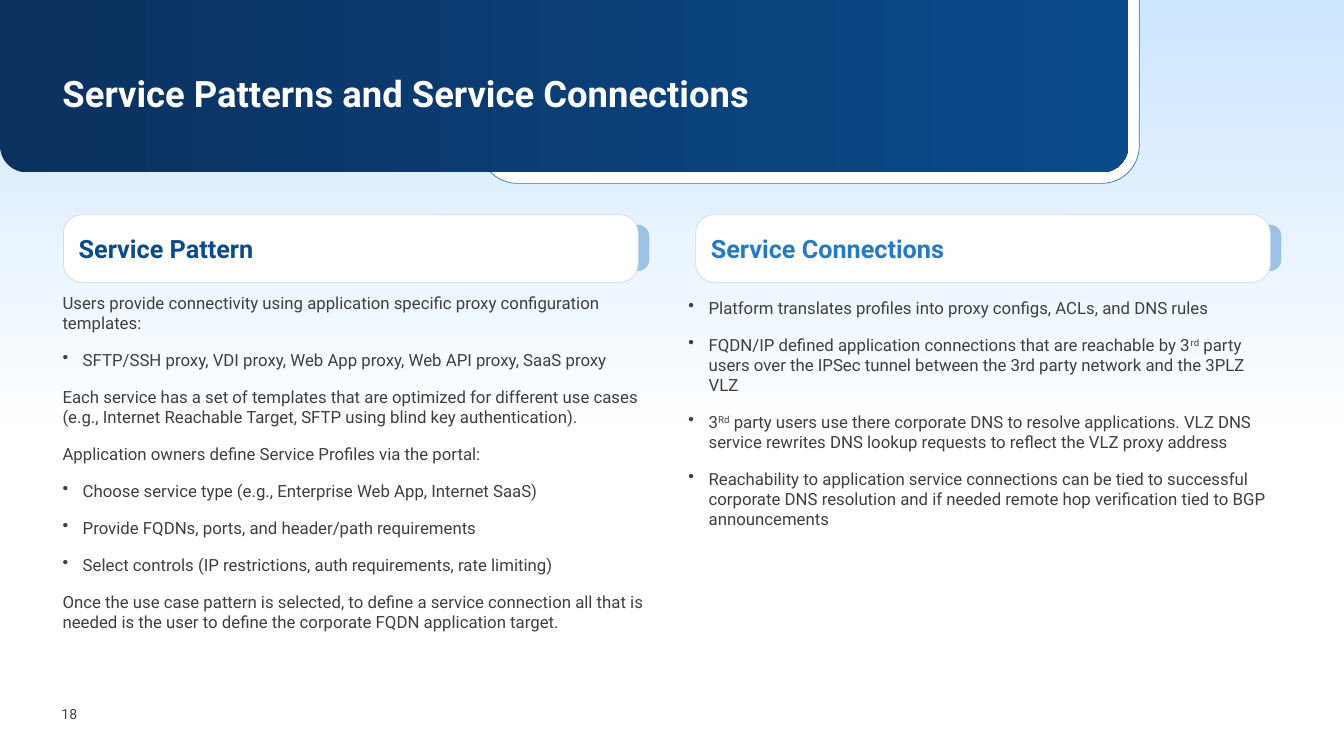
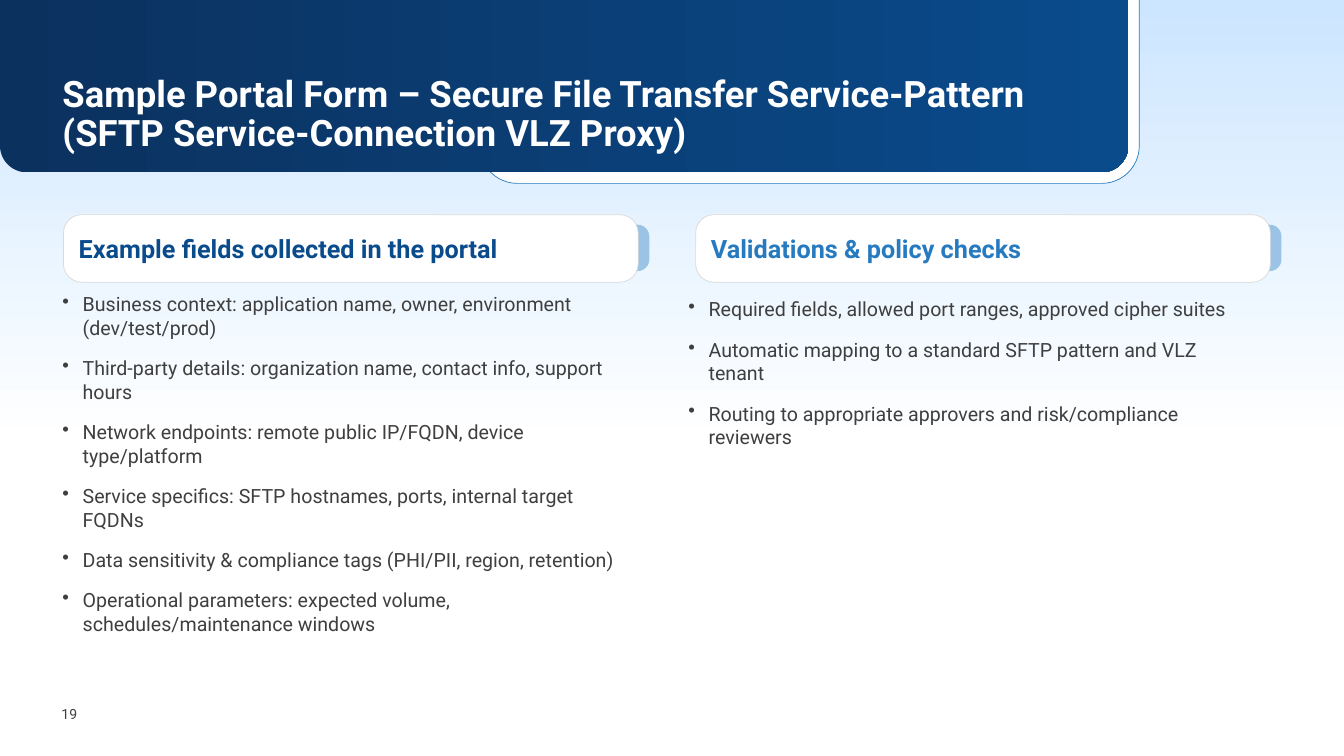
"""Builds two slides on service patterns, service connections and a sample portal form."""
from lxml import etree
from pptx import Presentation
from pptx.dml.color import RGBColor
from pptx.enum import shapes, text
from pptx.oxml.ns import qn
from pptx.util import Inches, Pt

FONT = "Roboto"
COLORS = {
    "sky": "CCE6FF",
    "white": "FFFFFF",
    "navy": "0B315E",
    "blue": "0A4B8C",
    "accent": "267AC0",
    "border": "D9D9D9",
    "text": "3F3F3F",
}
RECT = shapes.MSO_SHAPE.RECTANGLE
ROUND = shapes.MSO_SHAPE.ROUNDED_RECTANGLE
ROUND_BOTTOM = shapes.MSO_SHAPE.ROUND_2_SAME_RECTANGLE

SLIDES = [
    {
        "number": "18",
        "title": "Service Patterns and Service Connections",
        "size": 12,
        "width": 5.98,
        "columns": [
            ("Service Pattern", [
                "Users provide connectivity using application specific proxy configuration templates:",
                "• SFTP/SSH proxy, VDI proxy, Web App proxy, Web API proxy, SaaS proxy",
                "Each service has a set of templates that are optimized for different use cases "
                "(e.g., Internet Reachable Target, SFTP using blind key authentication).",
                "Application owners define Service Profiles via the portal:",
                "• Choose service type (e.g., Enterprise Web App, Internet SaaS)",
                "• Provide FQDNs, ports, and header/path requirements",
                "• Select controls (IP restrictions, auth requirements, rate limiting)",
                "Once the use case pattern is selected, to define a service connection all that is "
                "needed is the user to define the corporate FQDN application target.",
            ]),
            ("Service Connections", [
                "• Platform translates profiles into proxy configs, ACLs, and DNS rules",
                "• FQDN/IP defined application connections that are reachable by 3^rd^ party users "
                "over the IPSec tunnel between the 3rd party network and the 3PLZ VLZ",
                "• 3^Rd^ party users use there corporate DNS to resolve applications. VLZ DNS "
                "service rewrites DNS lookup requests to reflect the VLZ proxy address",
                "• Reachability to application service connections can be tied to successful "
                "corporate DNS resolution and if needed remote hop verification tied to BGP "
                "announcements",
            ]),
        ],
    },
    {
        "number": "19",
        "title": "Sample Portal Form – Secure File Transfer Service-Pattern "
                 "(SFTP Service-Connection VLZ Proxy)",
        "size": 14,
        "width": 5.7,
        "columns": [
            ("Example fields collected in the portal", [
                "• Business context: application name, owner, environment (dev/test/prod)",
                "• Third-party details: organization name, contact info, support hours",
                "• Network endpoints: remote public IP/FQDN, device type/platform",
                "• Service specifics: SFTP hostnames, ports, internal target FQDNs",
                "• Data sensitivity & compliance tags (PHI/PII, region, retention)",
                "• Operational parameters: expected volume, schedules/maintenance windows",
            ]),
            ("Validations & policy checks", [
                "• Required fields, allowed port ranges, approved cipher suites",
                "• Automatic mapping to a standard SFTP pattern and VLZ tenant",
                "• Routing to appropriate approvers and risk/compliance reviewers",
            ]),
        ],
    },
]


def add_panel(s, kind, box, fills, line=None, adj=(), angle=0):
    """Add a shape with a solid or two-colour gradient fill."""
    sp = s.shapes.add_shape(kind, *map(Inches, box))
    sp.shadow.inherit = False
    for i, value in enumerate(adj):
        sp.adjustments[i] = value
    if len(fills) == 1:
        sp.fill.solid()
        sp.fill.fore_color.rgb = RGBColor.from_string(COLORS[fills[0]])
    else:
        sp.fill.gradient()
        sp.fill.gradient_angle = angle
        for stop, name in zip(sp.fill.gradient_stops, fills):
            stop.color.rgb = RGBColor.from_string(COLORS[name])
    if line:
        sp.line.color.rgb = RGBColor.from_string(COLORS[line])
        sp.line.width = Pt(0.5)
    else:
        sp.line.fill.background()
    return sp


def write(sp, lines, size, color, bold=False, inset=(0, 0), anchor="TOP", gap=0, spacing=None):
    """Fill a shape with paragraphs; "• " starts a bullet and ^ encloses superscript."""
    tf = sp.text_frame
    tf.word_wrap = True
    tf.vertical_anchor = text.MSO_ANCHOR[anchor]
    tf.margin_left = tf.margin_right = Inches(inset[0])
    tf.margin_top = tf.margin_bottom = Inches(inset[1])
    for i, line in enumerate(lines):
        p = tf.add_paragraph() if i else tf.paragraphs[0]
        p.alignment = text.PP_ALIGN.LEFT
        p.space_before = Pt(gap if i else 0)
        p.space_after = Pt(gap)
        p.line_spacing = spacing
        if line.startswith("• "):
            pPr = p._p.get_or_add_pPr()
            pPr.set("marL", str(Inches(0.2)))
            pPr.set("indent", str(Inches(-0.2)))
            etree.SubElement(pPr, qn("a:buChar")).set("char", "•")
        for j, part in enumerate(line.removeprefix("• ").split("^")):
            r = p.add_run()
            r.text = part
            r.font.name = FONT
            r.font.size = Pt(size)
            r.font.bold = bold
            r.font.color.rgb = RGBColor.from_string(COLORS[color])
            if j % 2:
                r._r.get_or_add_rPr().set("baseline", "30000")


prs = Presentation()
prs.slide_width = Inches(13.33)
prs.slide_height = Inches(7.5)

for page in SLIDES:
    s = prs.slides.add_slide(prs.slide_layouts[6])
    number = s.shapes.add_textbox(*map(Inches, (0.61, 6.96, 0.39, 0.25)))
    write(number, [page["number"]], 10, "text", inset=(0, 0.05), anchor="MIDDLE")

    add_panel(s, RECT, (0, 0, 13.33, 4.4), ("sky", "white"), angle=270)
    add_panel(s, ROUND_BOTTOM, (4.76, -0.04, 6.54, 1.86), ("white",), "accent", (0, 0.2))
    add_panel(s, ROUND_BOTTOM, (0, 0, 11.19, 1.71), ("navy", "blue"), adj=(0, 0.155))

    title = s.shapes.add_textbox(*map(Inches, (0.62, 0.75, 10.6, 0.78)))
    write(title, [page["title"]], 26, "white", bold=True, spacing=0.9)

    for i, (heading, lines) in enumerate(page["columns"]):
        left = 0.63 + i * 6.27
        tab = add_panel(s, ROUND, (left + 4.78, 2.23, 1.03, 0.46), ("accent",), adj=(0.25,))
        rgb = tab.fill._xPr.find(".//" + qn("a:srgbClr"))
        etree.SubElement(rgb, qn("a:alpha")).set("val", "40000")

        card = add_panel(s, ROUND, (left, 2.13, 5.7, 0.67), ("white",), "border", (0.27,))
        write(card, [heading], 18, ("blue", "accent")[i], bold=True,
              inset=(0.1, 0.2), anchor="MIDDLE")

        body = s.shapes.add_textbox(*map(Inches, (0.62 + i * 6.11, 2.9, page["width"], 3.39)))
        write(body, lines, page["size"], "text", inset=((0, 0), (0.1, 0.05))[i], gap=6)

prs.save("out.pptx")
